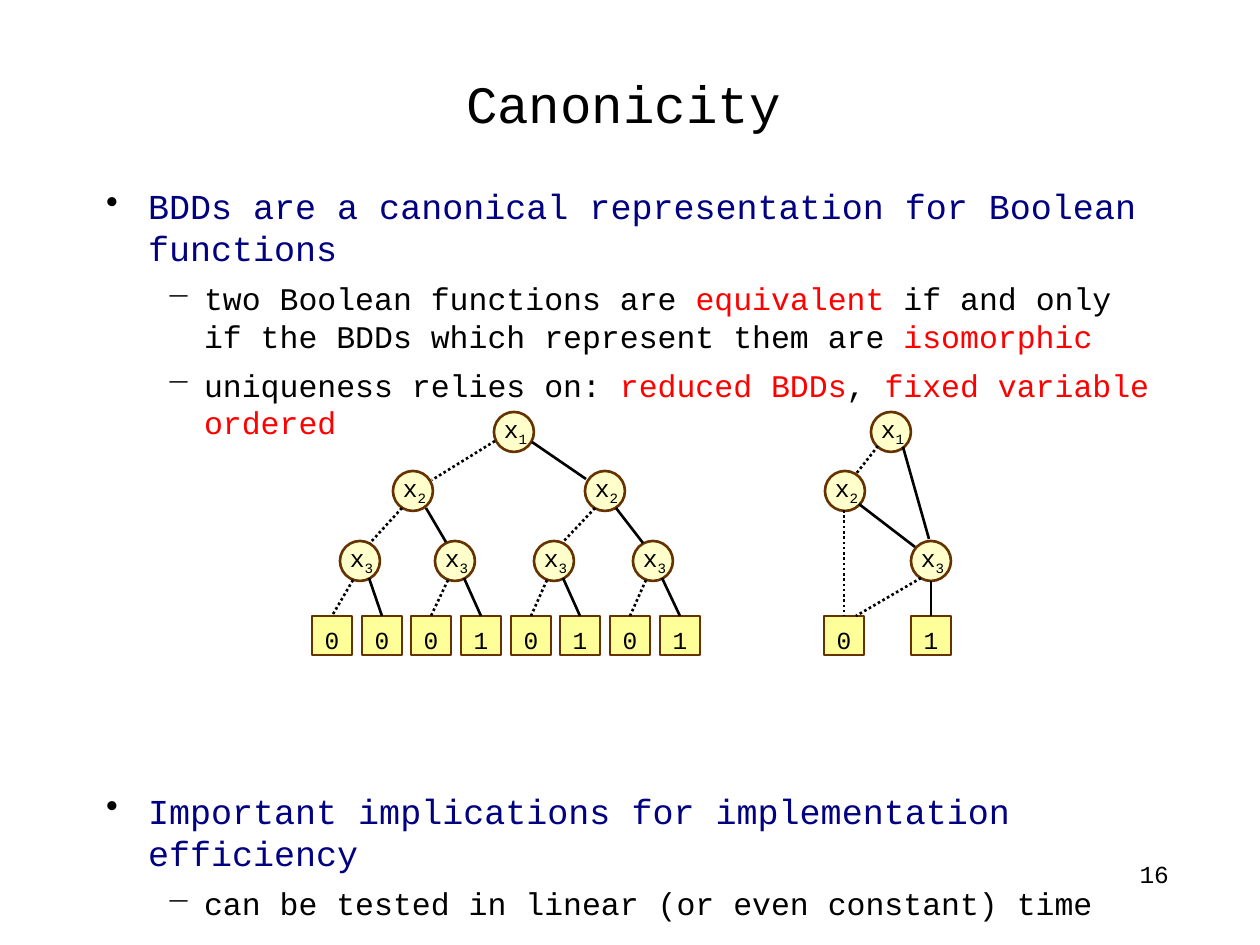
from lxml import etree
from pptx import Presentation
from pptx.dml.color import RGBColor
from pptx.enum import dml, shapes, text
from pptx.oxml.ns import qn
from pptx.util import Emu, Pt

PX = 914400 / 126
BLACK, NAVY, RED = "000000", "000080", "FF0000"
BROWN, CREAM, YELLOW = "663300", "FFFFCC", "FFFF99"
LEFT, CENTER, RIGHT = text.PP_ALIGN.LEFT, text.PP_ALIGN.CENTER, text.PP_ALIGN.RIGHT


def px(n):
    return Emu(round(n * PX))


def color(hex_code):
    return RGBColor.from_string(hex_code)


class Deck:
    font = "Courier New"
    stroke = Pt(1.5)
    node, leaf_height = 40, 39
    # level: (bullet, text indent, hanging indent, size)
    levels = [("•", 56, -42, 20), ("−", 112, -38, 18)]

    def __init__(self):
        self.prs = Presentation()
        self.prs.slide_width, self.prs.slide_height = px(1260), px(945)
        self.slide = self.prs.slides.add_slide(self.prs.slide_layouts[6])
        self.canvas = self.slide.shapes

    def start_group(self):
        self.canvas = self.slide.shapes.add_group_shape().shapes

    def run(self, paragraph, words, size, hue=BLACK):
        run = paragraph.add_run()
        run.text = words
        run.font.name, run.font.size = self.font, Pt(size)
        run.font.color.rgb = color(hue)
        return run

    def box(self, x, y, w, h, margins=(0, 0), anchor=text.MSO_ANCHOR.TOP):
        frame = self.canvas.add_textbox(px(x), px(y), px(w), px(h)).text_frame
        frame.word_wrap = True
        frame.vertical_anchor = anchor
        frame.margin_left = frame.margin_right = Pt(margins[0])
        frame.margin_top = frame.margin_bottom = Pt(margins[1])
        return frame

    def line_of_text(self, frame, words, size, align, spacing=None):
        paragraph = frame.paragraphs[0]
        paragraph.alignment = align
        paragraph.line_spacing = spacing
        self.run(paragraph, words, size)
        return paragraph

    def bullet(self, frame, level, runs, before):
        first = frame.paragraphs[0]
        paragraph = frame.add_paragraph() if first.runs else first
        mark, indent, hanging, size = self.levels[level]
        props = paragraph._p.get_or_add_pPr()
        props.set("marL", str(px(indent)))
        props.set("indent", str(px(hanging)))
        mark_color = etree.SubElement(props, qn("a:buClr"))
        etree.SubElement(mark_color, qn("a:srgbClr"), val=BLACK)
        etree.SubElement(props, qn("a:buChar"), char=mark)
        paragraph.level = level
        paragraph.alignment = LEFT
        if before:
            paragraph.space_before = Pt(before)
        for words, hue in runs:
            self.run(paragraph, words, size, hue)

    def outline(self, kind, x, y, h, fill):
        shape = self.canvas.add_shape(kind, px(x), px(y), px(self.node), px(h))
        shape.shadow.inherit = False
        shape.fill.solid()
        shape.fill.fore_color.rgb = color(fill)
        shape.line.color.rgb = color(BROWN)
        shape.line.width = self.stroke
        return shape

    def label(self, x, y, w, h, words):
        frame = self.box(x, y, w, h, margins=(7.2, 3.6))
        frame.auto_size = text.MSO_AUTO_SIZE.SHAPE_TO_FIT_TEXT
        return self.line_of_text(frame, words, 14, CENTER)

    def variable(self, x, y, index):
        self.outline(shapes.MSO_SHAPE.OVAL, x, y, self.node, CREAM)
        name = self.label(x - 13, y - 4, 69, 47, "x")
        subscript = self.run(name, index, 14)
        subscript.font._element.set("baseline", "-25000")

    def leaf(self, x, value):
        y = 616
        shape = self.outline(shapes.MSO_SHAPE.RECTANGLE, x, y, self.leaf_height, YELLOW)
        self.label(x, y + 3, self.node, 43, value)
        return shape

    def edge(self, start, end, dotted=False, leaf=None):
        """Draw an edge to a point, or to the top of a leaf."""
        x2, y2 = end or start
        line = self.canvas.add_connector(
            shapes.MSO_CONNECTOR.STRAIGHT, px(start[0]), px(start[1]), px(x2), px(y2))
        if leaf is not None:
            line.end_connect(leaf, 0)
        line.line.color.rgb = color(BLACK)
        line.line.width = self.stroke
        if dotted:
            line.line.dash_style = dml.MSO_LINE.ROUND_DOT
        etree.SubElement(line._element.spPr, qn("a:effectLst"))


def main():
    deck = Deck()

    # Title
    title = deck.box(86, 47, 1075, 108, anchor=text.MSO_ANCHOR.MIDDLE)
    deck.line_of_text(title, "Canonicity", 30, CENTER, 1.04)

    # Bullets, with room for the diagrams before the last topic
    body = deck.box(92, 185, 1075, 655)
    diagram_gap = 199
    for level, before, runs in [
        (0, 0, [("BDDs are a canonical representation for Boolean functions", NAVY)]),
        (1, 6, [("two Boolean functions are ", BLACK), ("equivalent", RED),
                (" if and only if the BDDs which represent them are ", BLACK),
                ("isomorphic", RED)]),
        (1, 6, [("uniqueness relies on: ", BLACK), ("reduced BDDs", RED),
                (", ", BLACK), ("fixed variable ordered", RED)]),
        (0, diagram_gap,
         [("Important implications for implementation efficiency", NAVY)]),
        (1, 6, [("can be tested in linear (or even constant) time", BLACK)]),
    ]:
        deck.bullet(body, level, runs, before)

    row1, row2, row3 = 412, 471, 541

    # Full decision tree
    deck.start_group()
    x3_lefts = [340, 435, 534, 633]
    deck.variable(494, row1, "1")
    for x in (393, 585):
        deck.variable(x, row2, "2")
    for x in x3_lefts:
        deck.variable(x, row3, "3")
    leaves = [deck.leaf(312 + round(i * 49.7), value)
              for i, value in enumerate("00010101")]
    for start, end, dotted in [
        ((495, 441), (432, 480), True), ((532, 442), (586, 479), False),
        ((402, 508), (370, 543), True), ((426, 508), (446, 542), False),
        ((595, 508), (563, 542), True), ((616, 508), (643, 543), False),
    ]:
        deck.edge(start, end, dotted)
    for x, low, high in zip(x3_lefts, leaves[::2], leaves[1::2]):
        deck.edge((x + 13, 580), None, True, leaf=low)
        deck.edge((x + 29, 578), None, leaf=high)

    # Reduced diagram
    deck.start_group()
    deck.variable(871, row1, "1")
    deck.variable(825, row2, "2")
    deck.variable(911, row3, "3")
    zero, one = deck.leaf(824, "0"), deck.leaf(911, "1")
    deck.edge((878, 446), (856, 474), True)
    deck.edge((903, 447), (929, 539))
    deck.edge((859, 504), (915, 547))
    deck.edge((921, 578), (856, 616), True)
    deck.edge((844, 510), None, True, leaf=zero)
    deck.edge((931, 581), None, leaf=one)

    # Page number
    deck.canvas = deck.slide.shapes
    deck.line_of_text(deck.box(966, 861, 203, 65), "16", 14, RIGHT, 0.96)

    deck.prs.save("out.pptx")


if __name__ == "__main__":
    main()
